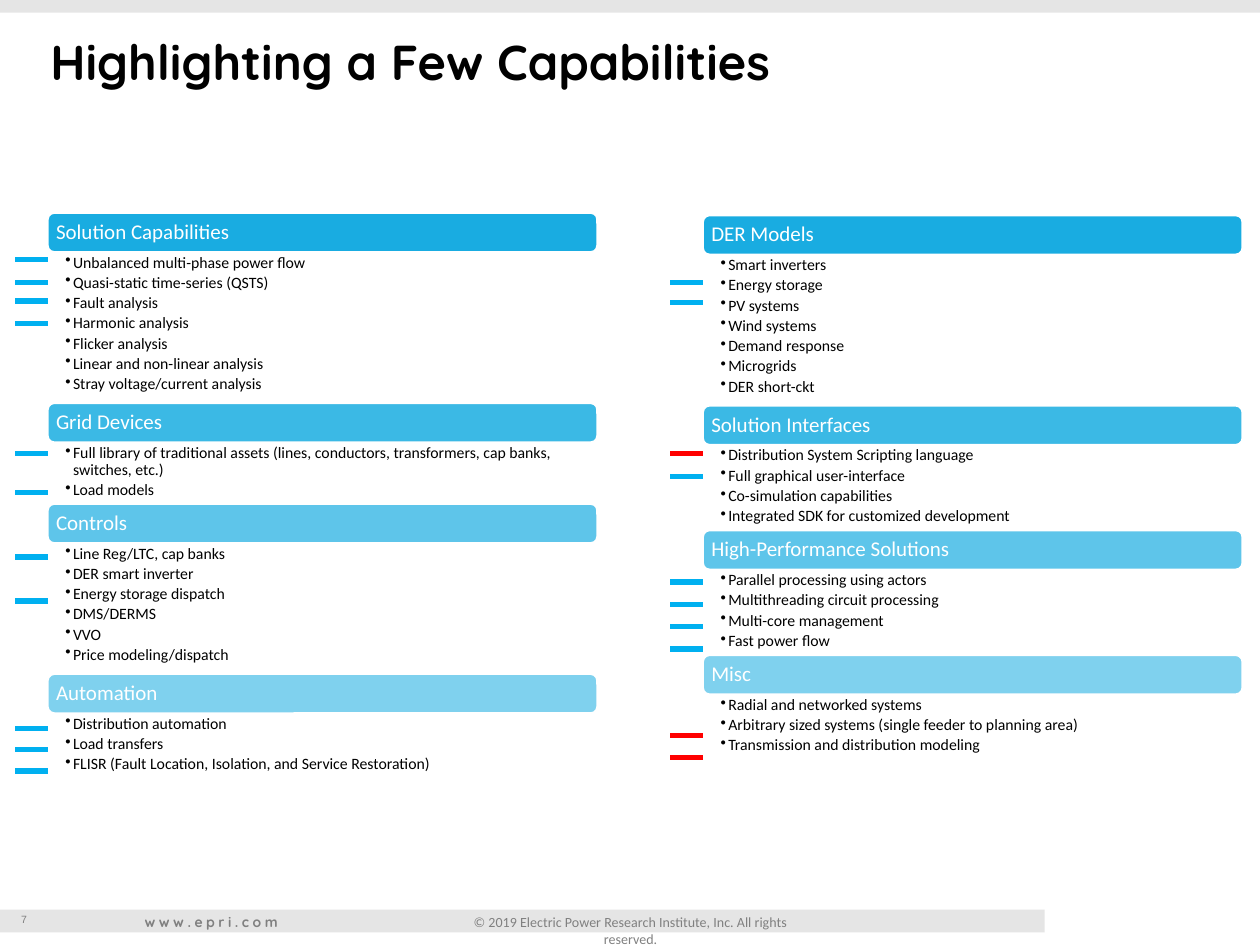
from lxml import etree
from pptx import Presentation
from pptx.dml.color import RGBColor
from pptx.enum.shapes import MSO_CONNECTOR, MSO_SHAPE
from pptx.enum.text import MSO_ANCHOR as Anchor, MSO_AUTO_SIZE as AutoSize, PP_ALIGN as Align
from pptx.oxml.ns import qn
from pptx.util import Inches, Pt

BLACK = RGBColor(0x00, 0x00, 0x00)
WHITE = RGBColor(0xFF, 0xFF, 0xFF)
BAR_GRAY = RGBColor(0xE5, 0xE5, 0xE5)
TEXT_GRAY = RGBColor(0x80, 0x80, 0x80)
HEADER_BLUE = RGBColor(0x00, 0xA4, 0xDE)
MARK_BLUE = RGBColor(0x00, 0xB0, 0xF0)
MARK_RED = RGBColor(0xFF, 0x00, 0x00)

# Grid, in inches
SLIDE_WIDTH, SLIDE_HEIGHT = 10, 7.5
HEADER_HEIGHT = 0.31
MARK_WIDTH = 0.26
FOOTER_TOP = 0.96 * SLIDE_HEIGHT
HEADER_OPACITY = [90, 77, 63, 50]

# Columns: left, top, width, sections (header, list height, items), blue marks, red marks
COLUMNS = [
    (0.38, 1.69, 4.36, [
        ("Solution Capabilities", 1.2, [
            "Unbalanced multi-phase power flow", "Quasi-static time-series (QSTS)",
            "Fault analysis", "Harmonic analysis", "Flicker analysis",
            "Linear and non-linear analysis", "Stray voltage/current analysis"]),
        ("Grid Devices", 0.49, [
            "Full library of traditional assets (lines, conductors, transformers, "
            "cap banks, switches, etc.)", "Load models"]),
        ("Controls", 1.04, [
            "Line Reg/LTC, cap banks", "DER smart inverter", "Energy storage dispatch",
            "DMS/DERMS", "VVO", "Price modeling/dispatch"]),
        ("Automation", 0.52, [
            "Distribution automation", "Load transfers",
            "FLISR (Fault Location, Isolation, and Service Restoration)"]),
    ], [2.06, 2.24, 2.39, 2.57, 3.6, 3.91, 4.42, 4.77, 5.78, 5.95, 6.12], []),
    (5.58, 1.71, 4.28, [
        ("DER Models", 1.2, [
            "Smart inverters", "Energy storage", "PV systems", "Wind systems",
            "Demand response", "Microgrids", "DER short-ckt"]),
        ("Solution Interfaces", 0.68, [
            "Distribution System Scripting language", "Full graphical user-interface",
            "Co-simulation capabilities", "Integrated SDK for customized development"]),
        ("High-Performance Solutions", 0.68, [
            "Parallel processing using actors", "Multithreading circuit processing",
            "Multi-core management", "Fast power flow"]),
        ("Misc", 0.52, [
            "Radial and networked systems",
            "Arbitrary sized systems (single feeder to planning area)",
            "Transmission and distribution modeling"]),
    ], [2.24, 2.4, 3.78, 4.62, 4.8, 4.97, 5.15], [3.6, 5.84, 6.01]),
]


def add_block(kind, left, top, width, height, color):
    block = page.shapes.add_shape(
        kind, Inches(left), Inches(top), Inches(width), Inches(height))
    block.shadow.inherit = False
    block.fill.solid()
    block.fill.fore_color.rgb = color
    block.line.fill.background()
    return block


def write(frame, text, font_name, size, color, bold=False):
    frame.text = text
    frame.word_wrap = True
    for para in frame.paragraphs:
        for span in para.runs:
            span.font.name = font_name
            span.font.size = Pt(size)
            span.font.color.rgb = color
            span.font.bold = bold


deck = Presentation()
deck.slide_width, deck.slide_height = Inches(SLIDE_WIDTH), Inches(SLIDE_HEIGHT)
page = deck.slides.add_slide(deck.slide_layouts[5])

# Bars at the top and bottom
add_block(MSO_SHAPE.RECTANGLE, 0, 0, SLIDE_WIDTH, 0.1, BAR_GRAY)
add_block(MSO_SHAPE.RECTANGLE, 0, 7.22, 8.29, 0.18, BAR_GRAY)

# Footer: page number, web address, copyright
FOOTERS = [
    (0.07, 0.66, "7", "Arial", 6, False),
    (1.05, 1.33, "www.epri.com", "Quicksand", 8, True),
    (3.44, 3.13, "© 2019 Electric Power Research Institute, Inc. All rights reserved.",
     "Calibri", 8, False),
]
for left, width, text, font_name, size, bold in FOOTERS:
    box = page.shapes.add_textbox(
        Inches(left), Inches(FOOTER_TOP), Inches(width), Inches(0.24))
    write(box.text_frame, text, font_name, size, TEXT_GRAY, bold)
    para = box.text_frame.paragraphs[0]
    if font_name == "Quicksand":
        para.runs[0].font._element.set("spc", "200")
    elif font_name == "Calibri":
        para.alignment = Align.CENTER

# Title
title = page.shapes.title
title.left, title.top = Inches(0.3), Inches(0.2)
title.width, title.height = Inches(9.38), Inches(0.8)
write(title.text_frame, "Highlighting a Few Capabilities", "Quicksand", 28, BLACK, True)
title.text_frame.auto_size = AutoSize.NONE
title.text_frame.vertical_anchor = Anchor.TOP
title.text_frame.paragraphs[0].alignment = Align.LEFT

for left, top, width, sections, blue_marks, red_marks in COLUMNS:
    for (heading, list_height, items), opacity in zip(sections, HEADER_OPACITY):
        # Section header
        header = add_block(
            MSO_SHAPE.ROUNDED_RECTANGLE, left, top, width, HEADER_HEIGHT, HEADER_BLUE)
        header.line.color.rgb = WHITE
        header.line.width = Pt(1)
        fill_color = header.fill._xPr.find(qn("a:solidFill"))[0]
        etree.SubElement(fill_color, qn("a:alpha")).set("val", str(opacity * 1000))
        frame = header.text_frame
        write(frame, heading, "Calibri", 12, WHITE)
        frame.margin_left = frame.margin_right = Inches(0.05)
        frame.margin_top = frame.margin_bottom = Inches(0.05)
        frame.vertical_anchor = Anchor.MIDDLE
        frame.paragraphs[0].alignment = Align.LEFT
        frame.paragraphs[0].line_spacing = 0.9
        top += HEADER_HEIGHT

        # Bulleted list
        box = page.shapes.add_textbox(
            Inches(left), Inches(top), Inches(width), Inches(list_height))
        frame = box.text_frame
        write(frame, "\n".join(items), "Calibri", 9, BLACK)
        frame.margin_left, frame.margin_right = Inches(0.14), Inches(0.09)
        frame.margin_top = frame.margin_bottom = Inches(0.02)
        for para in frame.paragraphs:
            para.level = 1
            para.line_spacing = 0.9
            para.space_after = Pt(1.8)
            properties = para._p.get_or_add_pPr()
            properties.set("marL", str(Inches(0.06)))
            properties.set("indent", str(-Inches(0.06)))
            etree.SubElement(properties, qn("a:buChar")).set("char", "•")
        top += list_height

    # Marks beside the lists
    marks = [(y, MARK_BLUE) for y in blue_marks] + [(y, MARK_RED) for y in red_marks]
    for y, color in marks:
        mark = page.shapes.add_connector(
            MSO_CONNECTOR.STRAIGHT,
            Inches(left - MARK_WIDTH), Inches(y), Inches(left), Inches(y))
        mark.line.color.rgb = color
        mark.line.width = Pt(3)
        etree.SubElement(mark._element.spPr, qn("a:effectLst"))

deck.save("out.pptx")
